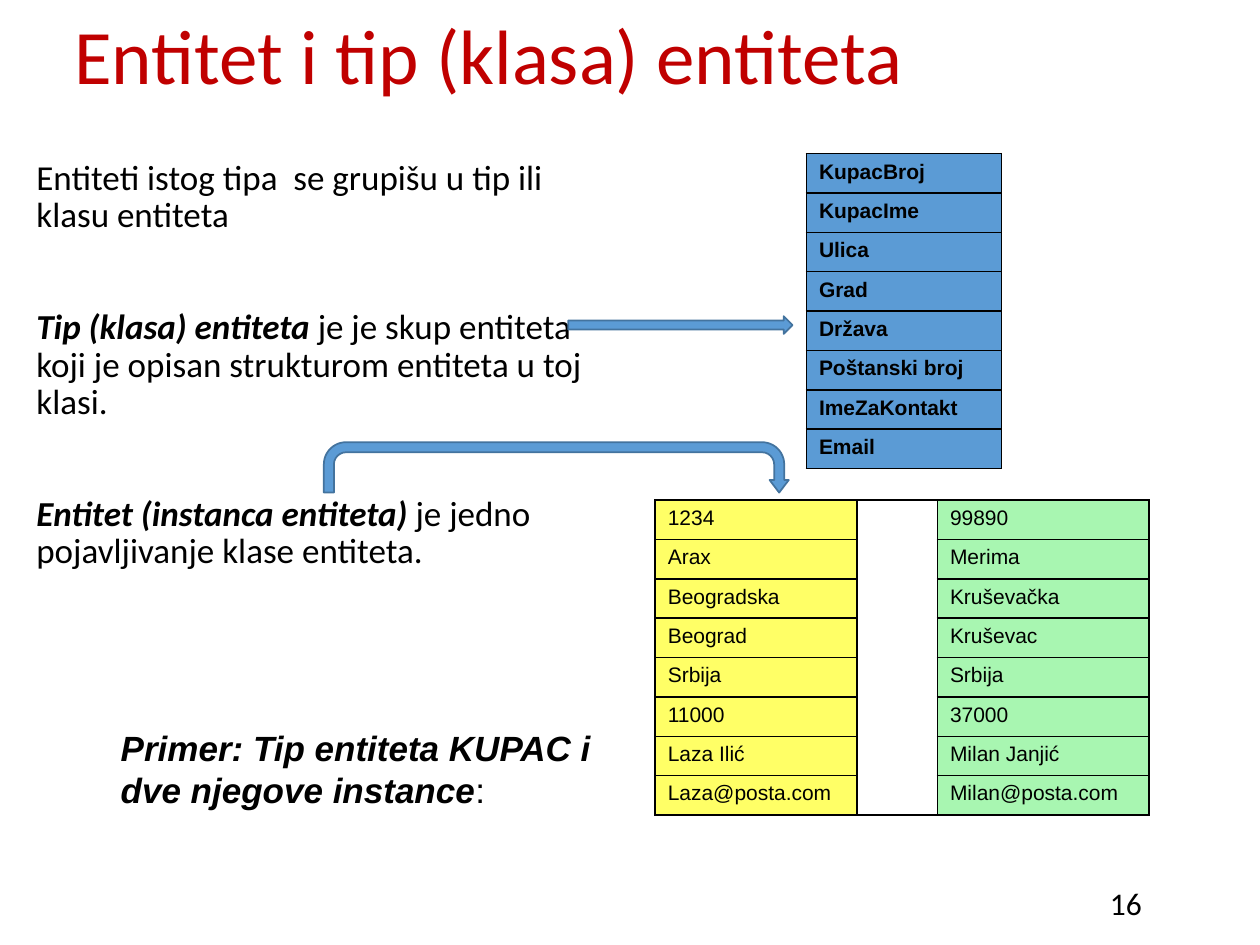
from lxml.etree import SubElement
from pptx import Presentation
from pptx.dml.color import RGBColor
from pptx.enum.shapes import MSO_SHAPE
from pptx.enum.text import PP_ALIGN
from pptx.oxml.ns import qn
from pptx.util import Inches, Pt

BLACK, RED, BLUE, DARK_BLUE = "000000", "C00000", "5B9BD5", "43739E"
YELLOW, GREEN = "FFFF66", "A8F6B1"
ROW_H = 2.5 / 8

TITLE = "Entitet i tip (klasa) entiteta"
# Each paragraph: emphasised part, plain part
BODY = [
    ("", "Entiteti istog tipa  se grupišu u tip ili klasu entiteta"),
    ("Tip (klasa) entiteta",
     " je je skup entiteta koji je opisan strukturom entiteta u toj klasi."),
    ("Entitet (instanca entiteta)", " je jedno pojavljivanje klase entiteta."),
]
EXAMPLE = [("Primer: Tip entiteta KUPAC i dve njegove instance", ":")]
ATTRIBUTES = ["KupacBroj", "KupacIme", "Ulica", "Grad", "Država",
              "Poštanski broj", "ImeZaKontakt", "Email"]
CUSTOMER_1 = ["1234", "Arax", "Beogradska", "Beograd", "Srbija", "11000",
              "Laza Ilić", "Laza@posta.com"]
CUSTOMER_2 = ["99890", "Merima", "Kruševačka", "Kruševac", "Srbija", "37000",
              "Milan Janjić", "Milan@posta.com"]
# Each column: width, fill, values; a column without values is one merged cell
TYPE_COLUMNS = [(1.55, BLUE, ATTRIBUTES)]
INSTANCE_COLUMNS = [(1.6, YELLOW, CUSTOMER_1), (0.64, None, None),
                    (1.68, GREEN, CUSTOMER_2)]
# Each arrow: preset, place, adjustments
ARROWS = [
    (MSO_SHAPE.RIGHT_ARROW, (4.51, 2.51, 1.78, 0.14), []),
    (MSO_SHAPE.U_TURN_ARROW, (2.57, 3.51, 3.69, 0.4),
     [0.2, 0.19, 0.25, 0.44, 1]),
]


def rgb(color):
    return RGBColor.from_string(color)


def style(font, size, name="Calibri", color=BLACK, bold=False, italic=False):
    font.size, font.name = Pt(size), name
    font.bold, font.italic = bold, italic
    font.color.rgb = rgb(color)


def add_text(s, place, paragraphs, size, name="Calibri", color=BLACK,
             line_spacing=1.0, gap=0, indent=0):
    """Add a text box of (emphasised, plain) paragraphs with a gap between."""
    tf = s.shapes.add_textbox(*map(Inches, place)).text_frame
    tf.word_wrap = True
    for i, parts in enumerate(paragraphs):
        p = tf.add_paragraph() if i else tf.paragraphs[0]
        p.line_spacing = line_spacing
        if i:
            p.space_before = Pt(gap)
        if indent:
            p._p.get_or_add_pPr().set("marL", str(Inches(indent)))
        for text, strong in zip(parts, (True, False)):
            if text:
                r = p.add_run()
                r.text = text
                style(r.font, size, name, color, strong, strong)


def add_borders(cell):
    tcPr = cell._tc.get_or_add_tcPr()
    for side in ("a:lnL", "a:lnR", "a:lnT", "a:lnB"):
        ln = SubElement(tcPr, qn(side), w=str(Pt(1)))
        fill = SubElement(ln, qn("a:solidFill"))
        SubElement(fill, qn("a:srgbClr"), val=BLACK)


def add_columns(s, left, top, columns, bold=False):
    rows = len(ATTRIBUTES)
    width = sum(column[0] for column in columns)
    table = s.shapes.add_table(rows, len(columns), Inches(left), Inches(top),
                               Inches(width), Inches(ROW_H * rows)).table
    table.first_row = table.horz_banding = False
    for c, (col_width, color, values) in enumerate(columns):
        table.columns[c].width = Inches(col_width)
        for r in range(rows):
            cell = table.cell(r, c)
            add_borders(cell)
            if color:
                cell.fill.solid()
                cell.fill.fore_color.rgb = rgb(color)
            else:
                cell.fill.background()
            p = cell.text_frame.paragraphs[0]
            p.alignment = PP_ALIGN.JUSTIFY
            style(p.font, 12, "Arial", bold=bold)
            if values:
                run = p.add_run()
                run.text = values[r]
                style(run.font, 12, "Arial", bold=bold)
        if not values:
            table.cell(0, c).merge(table.cell(rows - 1, c))


def add_arrow(s, preset, place, adjustments):
    sp = s.shapes.add_shape(preset, *map(Inches, place))
    for i, value in enumerate(adjustments):
        sp.adjustments[i] = value
    sp.shadow.inherit = False
    sp.fill.solid()
    sp.fill.fore_color.rgb = rgb(BLUE)
    sp.line.color.rgb = rgb(DARK_BLUE)
    sp.line.width = Pt(1)


def main():
    prs = Presentation()
    prs.slide_width, prs.slide_height = Inches(10), Inches(7.5)
    s = prs.slides.add_slide(prs.slide_layouts[6])
    add_text(s, (0.49, 0.09, 9.03, 1.25), [("", TITLE)], 44, color=RED,
             line_spacing=0.9)
    add_text(s, (0.19, 1.22, 4.71, 3.67), BODY, 20, line_spacing=0.9, gap=42)
    add_columns(s, 6.4, 1.22, TYPE_COLUMNS, bold=True)
    add_columns(s, 5.2, 3.97, INSTANCE_COLUMNS)
    add_text(s, (8.71, 6.97, 0.89, 0.39), [("", "16")], 18)
    add_text(s, (0.48, 5.72, 4.73, 0.67), EXAMPLE, 20, "Arial", indent=0.38)
    for arrow in ARROWS:
        add_arrow(s, *arrow)
    prs.save("out.pptx")


if __name__ == "__main__":
    main()
